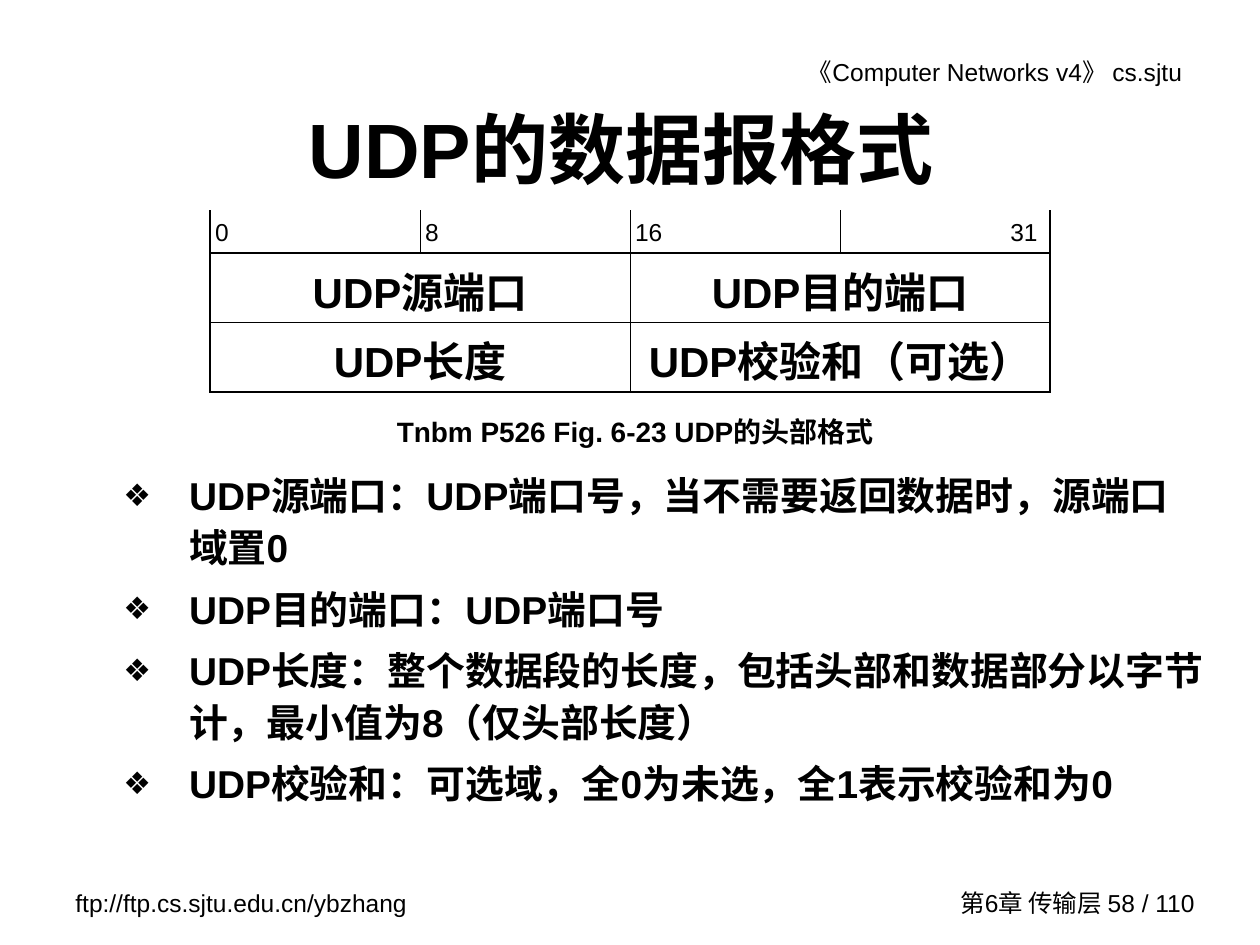
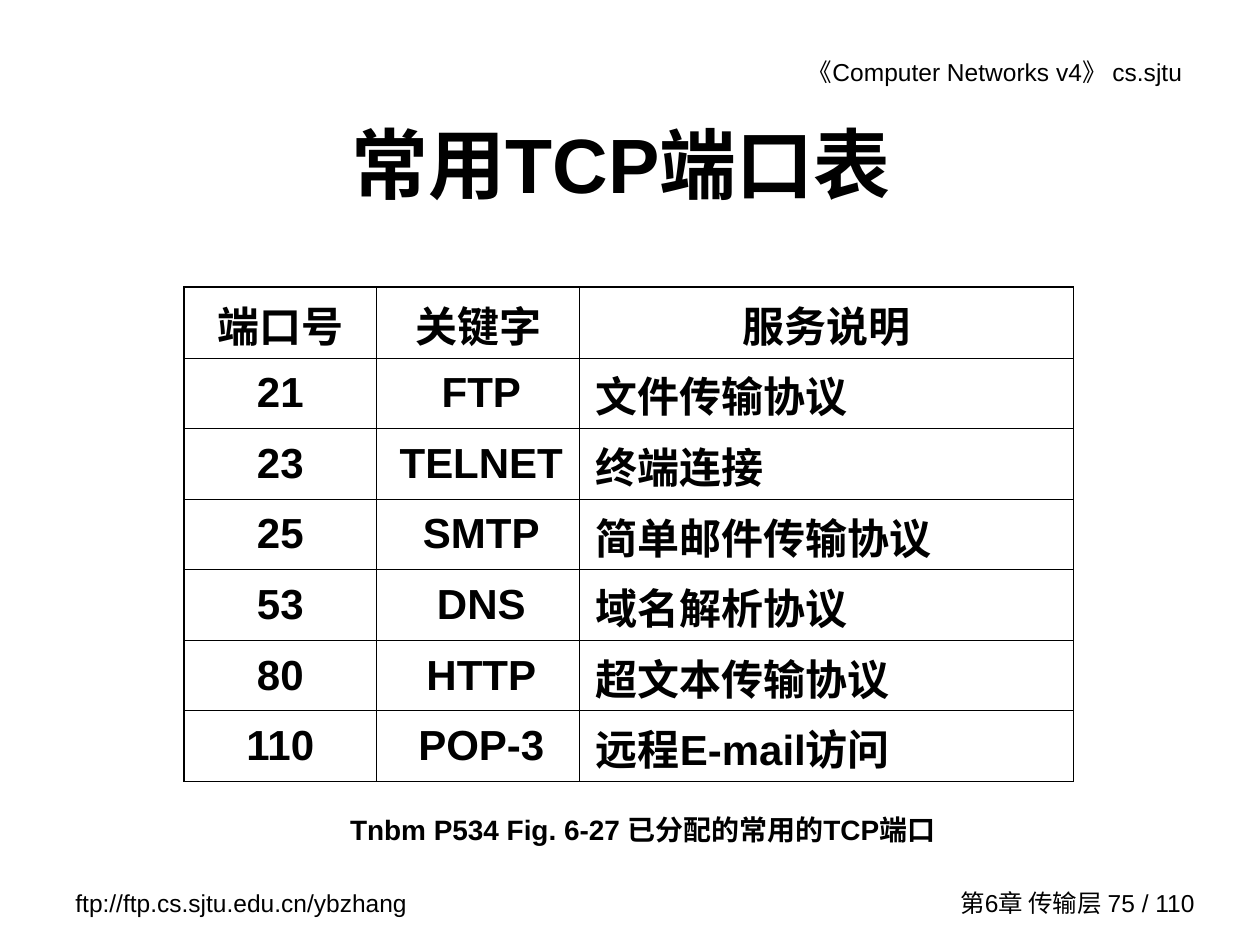
"""Build two slides on UDP datagrams and common TCP ports."""
from dataclasses import dataclass
from typing import NamedTuple

from lxml import etree
from pptx import Presentation
from pptx import util as u
from pptx.dml.color import RGBColor
from pptx.enum import text as t
from pptx.oxml.ns import qn

LEFT, CENTER, RIGHT = t.PP_ALIGN.LEFT, t.PP_ALIGN.CENTER, t.PP_ALIGN.RIGHT
TOP, MIDDLE, BOTTOM = t.MSO_ANCHOR.TOP, t.MSO_ANCHOR.MIDDLE, t.MSO_ANCHOR.BOTTOM
SLIDE_WIDTH, SLIDE_HEIGHT = u.Inches(10), u.Inches(7.5)
TITLE_AND_BODY, TITLE_ONLY = 1, 5


@dataclass(frozen=True)
class Theme:
    """Colours, font, type sizes and line widths shared by the slides."""
    ink: str = "000000"
    font: str = "Arial"
    title: float = 44
    cell: float = 24
    body: float = 22.2
    caption: float = 16
    small: float = 14
    thick: float = 1.08
    thin: float = 0.45


class Area(NamedTuple):
    """A box in percent of the slide's width and height."""
    left: float
    top: float
    width: float
    height: float


class Note(NamedTuple):
    """A line of text set in an area."""
    text: str
    area: Area
    size: float
    align: t.PP_ALIGN = LEFT
    anchor: t.MSO_ANCHOR = TOP
    bold: bool = False


class Cell(NamedTuple):
    """A table cell with its format; margins are left and right inches."""
    text: str
    size: float
    bold: bool = True
    align: t.PP_ALIGN = CENTER
    anchor: t.MSO_ANCHOR = MIDDLE
    margins: tuple[float, float] = (0.1, 0.1)
    span: int = 1


class Grid(NamedTuple):
    """A table: place, column and row shares, rows of cells, thick rules."""
    left: float
    top: float
    columns: list[float]
    rows: list[float]
    cells: list[list[Cell]]
    rules: list[float]


THEME = Theme()
HEADER = Note("《Computer Networks v4》 cs.sjtu", Area(52.8, 5.33, 42, 4.53),
              THEME.small, RIGHT)
SOURCE = Note("ftp://ftp.cs.sjtu.edu.cn/ybzhang", Area(5, 93.33, 29.2, 4.53),
              THEME.small)
PAGE_AREA = Area(73.2, 93.33, 22.6, 4.4)
BODY_AREA = Area(8.8, 48.8, 87.8, 43.33)
FIELD_NOTES = [
    "UDP源端口：UDP端口号，当不需要返回数据时，源端口域置0",
    "UDP目的端口：UDP端口号",
    "UDP长度：整个数据段的长度，包括头部和数据部分以字节计，最小值为8（仅头部长度）",
    "UDP校验和：可选域，全0为未选，全1表示校验和为0",
]
HEADER_FIELDS = [("UDP源端口", "UDP目的端口"), ("UDP长度", "UDP校验和（可选）")]
PORT_HEADINGS = ["端口号", "关键字", "服务说明"]
PORTS = [
    ("21", "FTP", "文件传输协议"),
    ("23", "TELNET", "终端连接"),
    ("25", "SMTP", "简单邮件传输协议"),
    ("53", "DNS", "域名解析协议"),
    ("80", "HTTP", "超文本传输协议"),
    ("110", "POP-3", "远程E-mail访问"),
]


def across(share: float) -> int:
    """Turn a percentage of the slide's width into a length."""
    return round(SLIDE_WIDTH * share / 100)


def down(share: float) -> int:
    """Turn a percentage of the slide's height into a length."""
    return round(SLIDE_HEIGHT * share / 100)


def place(area: Area) -> tuple[int, int, int, int]:
    """Give an area as left, top, width and height lengths."""
    return across(area.left), down(area.top), across(area.width), down(area.height)


def move(shape, area: Area) -> None:
    """Move and size a shape to an area."""
    shape.left, shape.top, shape.width, shape.height = place(area)


def write(para, content: str, *, size: float, bold: bool = False, align=LEFT) -> None:
    """Write formatted text into a paragraph."""
    para.alignment = align
    span = para.add_run()
    span.text = content
    span.font.name = THEME.font
    span.font.size = u.Pt(size)
    span.font.bold = bold
    span.font.color.rgb = RGBColor.from_string(THEME.ink)


def add_note(page, note: Note) -> None:
    """Draw a note as a text box."""
    frame = page.shapes.add_textbox(*place(note.area)).text_frame
    frame.word_wrap = True
    frame.vertical_anchor = note.anchor
    write(frame.paragraphs[0], note.text, size=note.size, bold=note.bold, align=note.align)


def add_page(deck, layout: int, title: str, title_height: float, number: int):
    """Add a slide with its title, header and footers."""
    page = deck.slides.add_slide(deck.slide_layouts[layout])
    box = page.shapes.title
    move(box, Area(6.8, 8.93, 85, title_height))
    frame = box.text_frame
    frame.auto_size = t.MSO_AUTO_SIZE.NONE
    frame.vertical_anchor = MIDDLE
    write(frame.paragraphs[0], title, size=THEME.title, bold=True, align=CENTER)
    page_note = Note(f"第6章 传输层 {number} / 110", PAGE_AREA, THEME.small, RIGHT, MIDDLE)
    for note in (HEADER, SOURCE, page_note):
        add_note(page, note)
    return page


def add_bullet(para) -> None:
    """Give a paragraph a hanging diamond bullet."""
    props = para._p.get_or_add_pPr()
    props.set("marL", str(u.Inches(0.52)))
    props.set("indent", str(-u.Inches(0.52)))
    color = etree.SubElement(props, qn("a:buClr"))
    etree.SubElement(color, qn("a:srgbClr"), val=THEME.ink)
    etree.SubElement(props, qn("a:buSzPct"), val="80000")
    etree.SubElement(props, qn("a:buFont"), typeface=THEME.font)
    etree.SubElement(props, qn("a:buChar"), char="❖")


def fill_body(box, lines: list[str]) -> None:
    """Fill the body placeholder with a bulleted list."""
    move(box, BODY_AREA)
    frame = box.text_frame
    frame.auto_size = t.MSO_AUTO_SIZE.NONE
    for index, line in enumerate(lines):
        para = frame.add_paragraph() if index else frame.paragraphs[0]
        add_bullet(para)
        para.line_spacing = 1.1
        para.space_before = u.Pt(6 if index else 0)
        write(para, line, size=THEME.body, bold=True)


def set_border(box, side: str, width: float) -> None:
    """Draw one side of a cell, or clear it when the width is zero."""
    line = etree.SubElement(box._tc.get_or_add_tcPr(), qn(f"a:ln{side}"), w=str(u.Pt(width)))
    if width:
        fill = etree.SubElement(line, qn("a:solidFill"))
        etree.SubElement(fill, qn("a:srgbClr"), val=THEME.ink)
    else:
        etree.SubElement(line, qn("a:noFill"))


def add_grid(page, grid: Grid) -> None:
    """Draw a ruled table with its merged cells."""
    area = Area(grid.left, grid.top, sum(grid.columns), sum(grid.rows))
    table = page.shapes.add_table(len(grid.rows), len(grid.columns), *place(area)).table
    table.first_row = table.horz_banding = False
    for column, share in zip(table.columns, grid.columns):
        column.width = across(share)
    for row, share in zip(table.rows, grid.rows):
        row.height = down(share)
    edges = [THEME.thick] + [THEME.thin] * (len(grid.columns) - 1) + [THEME.thick]
    for row, cells in enumerate(grid.cells):
        column = 0
        for cell in cells:
            end = column + cell.span
            box = table.cell(row, column)
            if cell.span > 1:
                box.merge(table.cell(row, end - 1))
            box.vertical_anchor = cell.anchor
            box.margin_left, box.margin_right = map(u.Inches, cell.margins)
            write(box.text_frame.paragraphs[0], cell.text, size=cell.size,
                  bold=cell.bold, align=cell.align)
            for part in range(column, end):
                piece = table.cell(row, part)
                set_border(piece, "L", 0 if part > column else edges[column])
                set_border(piece, "R", edges[end])
                set_border(piece, "T", grid.rules[row])
                set_border(piece, "B", grid.rules[row + 1])
                piece.fill.background()
            column = end


def header_grid() -> Grid:
    """Lay out the UDP header with its bit ruler."""
    ruler = [Cell(bit, THEME.small, False, RIGHT if bit == "31" else LEFT, BOTTOM, (0.04, 0.1))
             for bit in ("0", "8", "16", "31")]
    fields = [[Cell(name, THEME.cell, anchor=TOP, span=2) for name in names]
              for names in HEADER_FIELDS]
    return Grid(16.67, 22.27, [16.67] * 4, [4.53, 7.33, 7.33], [ruler, *fields],
                [0, THEME.thick, THEME.thin, THEME.thick])


def port_grid() -> Grid:
    """Lay out the table of well-known ports."""
    narrow, wide = (0.02, 0.02), (0.13, 0.08)
    headings = [Cell(name, THEME.cell, margins=narrow) for name in PORT_HEADINGS]
    services = [[Cell(port, THEME.cell, margins=narrow),
                 Cell(keyword, THEME.cell, margins=wide),
                 Cell(service, THEME.cell, align=LEFT, margins=wide)]
                for port, keyword, service in PORTS]
    return Grid(14.6, 30.4, [15.3, 16.1, 39.2], [7.47] * (len(PORTS) + 1),
                [headings, *services],
                [THEME.thick] + [THEME.thin] * len(PORTS) + [THEME.thick])


def main() -> None:
    """Build and save the deck."""
    deck = Presentation()
    deck.slide_width, deck.slide_height = SLIDE_WIDTH, SLIDE_HEIGHT

    page = add_page(deck, TITLE_AND_BODY, "UDP的数据报格式", 13.33, 58)
    fill_body(page.placeholders[1], FIELD_NOTES)
    add_grid(page, header_grid())
    add_note(page, Note("Tnbm P526 Fig. 6-23 UDP的头部格式", Area(27.5, 43.2, 45.8, 4.53),
                        THEME.caption, CENTER, bold=True))

    page = add_page(deck, TITLE_ONLY, "常用TCP端口表", 16.67, 75)
    add_grid(page, port_grid())
    add_note(page, Note("Tnbm P534 Fig. 6-27 已分配的常用的TCP端口", Area(26.4, 85.33, 49.2, 8.53),
                        THEME.caption, CENTER, bold=True))

    deck.save("out.pptx")


if __name__ == "__main__":
    main()
